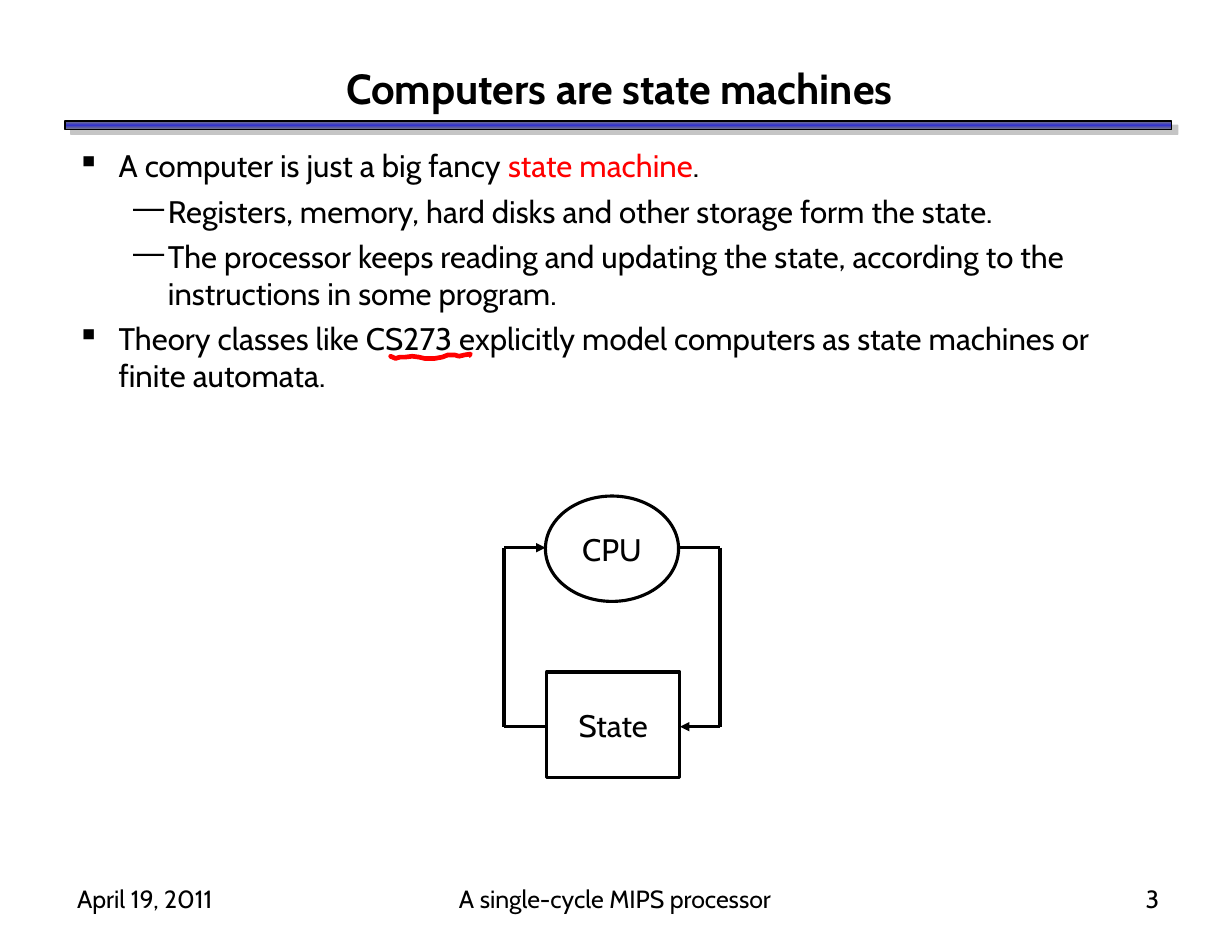
from copy import deepcopy

from lxml import etree
from pptx import Presentation
from pptx.dml.color import RGBColor
from pptx.enum.shapes import MSO_CONNECTOR, MSO_SHAPE
from pptx.enum.text import MSO_ANCHOR, PP_ALIGN
from pptx.oxml import parse_xml
from pptx.oxml.ns import nsdecls, qn
from pptx.util import Cm, Pt

LINE = MSO_CONNECTOR.STRAIGHT
RECT, OVAL = MSO_SHAPE.RECTANGLE, MSO_SHAPE.OVAL
LEFT, MID, RIGHT = PP_ALIGN.LEFT, PP_ALIGN.CENTER, PP_ALIGN.RIGHT
TOP, CORE = MSO_ANCHOR.TOP, MSO_ANCHOR.MIDDLE
INK = {"black": "000000", "red": "FF0000", "blue": "3333CC",
       "gray": "808080", "shade": "B2B2B2"}


def tint(name):
    """Return a named colour."""
    return RGBColor.from_string(INK[name])


class Deck:
    """Style and current slide."""

    font = "Cabin"

    def __init__(self):
        self.prs = Presentation()
        self.prs.slide_width, self.prs.slide_height = Cm(27.94), Cm(21.59)
        self.slide = self.prs.slides.add_slide(self.prs.slide_layouts[6])
        self.shapes = self.slide.shapes

    def frame(self, shape, anchor, wrap=True):
        """Set margins and anchor of a text frame."""
        frame = shape.text_frame
        frame.word_wrap, frame.vertical_anchor = wrap, anchor
        frame.margin_left = frame.margin_right = Cm(0.28)
        frame.margin_top = frame.margin_bottom = Cm(0.15)
        return frame

    def style(self, para, size, align=LEFT, bold=False):
        """Set the font and alignment of a paragraph."""
        para.alignment = align
        font = para.font
        font.name, font.size, font.bold = self.font, Pt(size), bold
        font.color.rgb = tint("black")

    def text(self, words, box, size, align, anchor=TOP, bold=False):
        """Add one line of text."""
        shape = self.shapes.add_textbox(*map(Cm, box))
        para = self.frame(shape, anchor).paragraphs[0]
        para.text = words
        self.style(para, size, align, bold)

    def list(self, items, box):
        """Add a bullet list of (level, runs) items."""
        marks = [("▪", 0.94, 0.94), ("—", 2.06, 0.79)]
        frame = self.frame(self.shapes.add_textbox(*map(Cm, box)), TOP)
        for num, (level, runs) in enumerate(items):
            para = frame.add_paragraph() if num else frame.paragraphs[0]
            mark, left, hang = marks[level]
            para.level = level
            props = para._p.get_or_add_pPr()
            props.set("marL", str(Cm(left)))
            props.set("indent", str(-Cm(hang)))
            etree.SubElement(props, qn("a:buChar")).set("char", mark)
            para.space_before = Pt(5 if num else 0)
            self.style(para, 20)
            for words, name in runs:
                run = para.add_run()
                run.text = words
                if name != "black":
                    run.font.color.rgb = tint(name)

    def bar(self, box):
        """Add the shaded rule below the title."""
        shape = self.shapes.add_shape(RECT, *map(Cm, box))
        shape.shadow.inherit = False
        shape.fill.gradient()
        stops = shape.element.spPr.find(".//" + qn("a:gsLst"))
        stops.append(deepcopy(stops[-1]))
        names = ["gray", "blue", "gray"]
        for num, stop in enumerate(shape.fill.gradient_stops):
            stop.position = num / 2
            stop.color.rgb = tint(names[num])
        shape.fill.gradient_angle = 90
        shape.line.color.rgb, shape.line.width = tint("black"), Pt(1)
        shape.element.spPr.find(qn("a:effectLst")).append(parse_xml(
            f'<a:outerShdw {nsdecls("a")} dist="{Pt(5)}" dir="2220000">'
            f'<a:srgbClr val="{INK["shade"]}"><a:alpha val="75000"/>'
            '</a:srgbClr></a:outerShdw>'))

    def node(self, kind, words, box):
        """Add an outlined shape with a label."""
        shape = self.shapes.add_shape(kind, *map(Cm, box))
        shape.shadow.inherit = False
        shape.fill.background()
        shape.line.color.rgb, shape.line.width = tint("black"), Pt(2)
        para = self.frame(shape, CORE, False).paragraphs[0]
        para.text = words
        self.style(para, 20, MID)

    def link(self, start, end, arrow=False):
        """Add a straight line."""
        line = self.shapes.add_connector(LINE, *map(Cm, start + end))
        line.line.color.rgb, line.line.width = tint("black"), Pt(2)
        if arrow:
            edge = line.line._get_or_add_ln()
            etree.SubElement(edge, qn("a:tailEnd")).set("type", "triangle")
        etree.SubElement(line.element.spPr, qn("a:effectLst"))

    def stroke(self, points):
        """Add a red pen stroke."""
        first, *rest = [(Cm(x), Cm(y)) for x, y in points]
        pen = self.shapes.build_freeform(*first)
        pen.add_line_segments(rest, close=False)
        shape = pen.convert_to_shape()
        shape.shadow.inherit = False
        shape.fill.background()
        shape.line.color.rgb, shape.line.width = tint("red"), Pt(3)


def main():
    """Build the slide."""
    deck = Deck()
    deck.bar((1.47, 2.74, 25.1, 0.2))
    for words, left, width, align in [
            ("April 19, 2011", 1.47, 5.82, LEFT),
            ("A single-cycle MIPS processor", 9.53, 8.84, MID),
            ("3", 20.75, 5.82, RIGHT)]:
        deck.text(words, (left, 19.89, width, 1.45), 16, align)
    deck.text("Computers are state machines", (1.47, 1.27, 25.15, 1.45),
              27, MID, CORE, True)
    deck.list([
        (0, [("A computer is just a big fancy ", "black"),
             ("state machine", "red"), (".", "black")]),
        (1, [("Registers, memory, hard disks and other storage form "
              "the state.", "black")]),
        (1, [("The processor keeps reading and updating the state, according "
              "to the instructions in some program.", "black")]),
        (0, [("Theory classes like CS273 explicitly model computers as state "
              "machines or finite automata.", "black")]),
    ], (1.47, 3.18, 25.07, 16.51))

    wide, high = 3.02, 2.39
    cpu, state = 12.37, 12.4
    deck.node(RECT, "State", (state, 15.24, wide, high))
    deck.node(OVAL, "CPU", (cpu, 11.25, wide, high))
    west, east, top, low = 11.43, 16.33, 12.42, 16.48
    deck.link((cpu + wide, top), (east, top))
    deck.link((east, top), (east, low))
    deck.link((east, low), (state + wide, low), True)
    deck.link((state, low), (west, low))
    deck.link((west, low), (west, top))
    deck.link((west, top), (cpu, top), True)

    deck.stroke([(8.89, 8.1), (8.86, 8.08), (8.97, 8.13), (9.07, 8.1),
                 (9.19, 8.1), (9.35, 8.08), (9.5, 8.1), (9.63, 8.13),
                 (9.86, 8.13), (10.03, 8.1), (10.16, 8.05), (10.31, 8.05),
                 (10.41, 8.08), (10.54, 8.05), (10.67, 8.03), (10.62, 8.08)])
    deck.prs.save("out.pptx")


if __name__ == "__main__":
    main()
